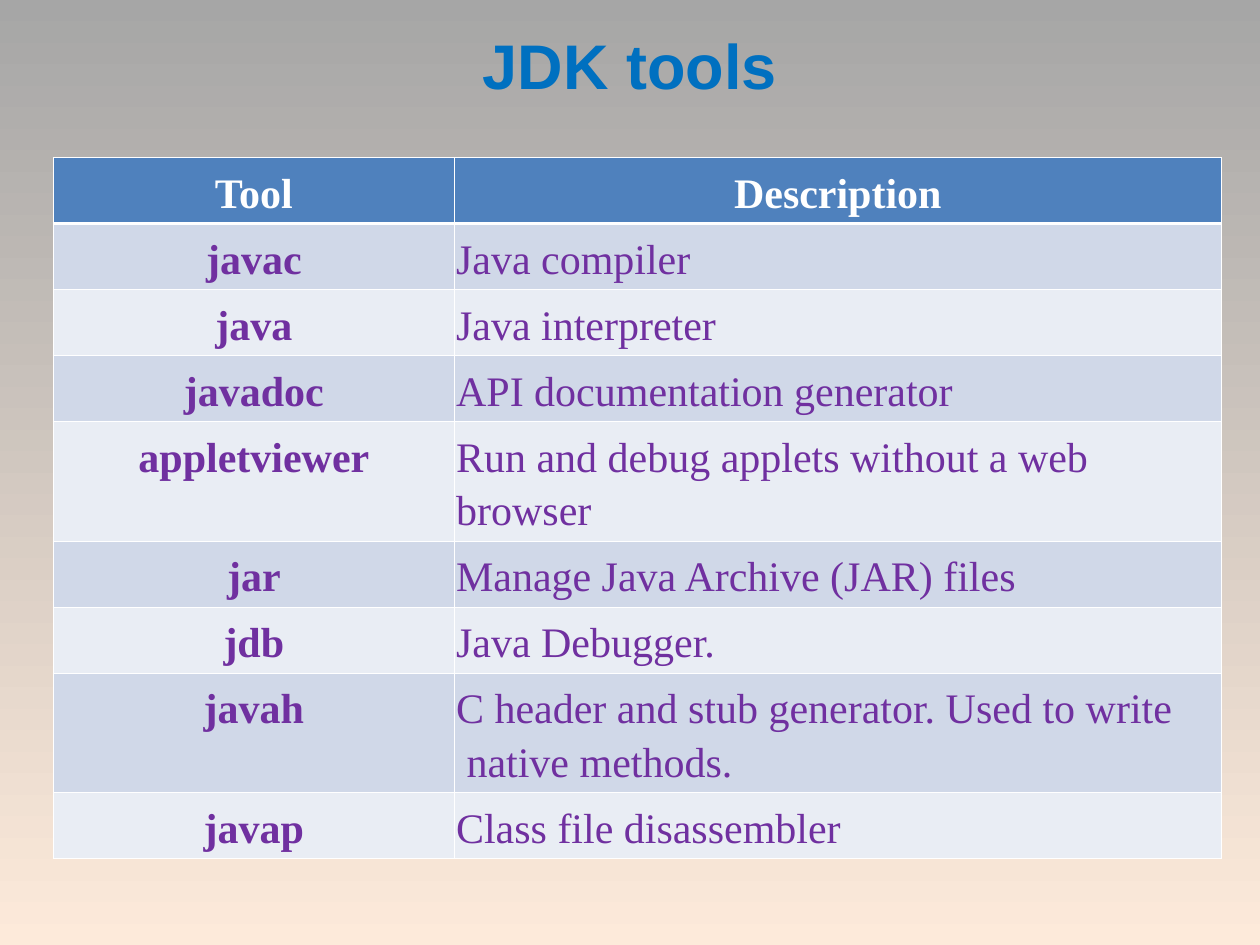
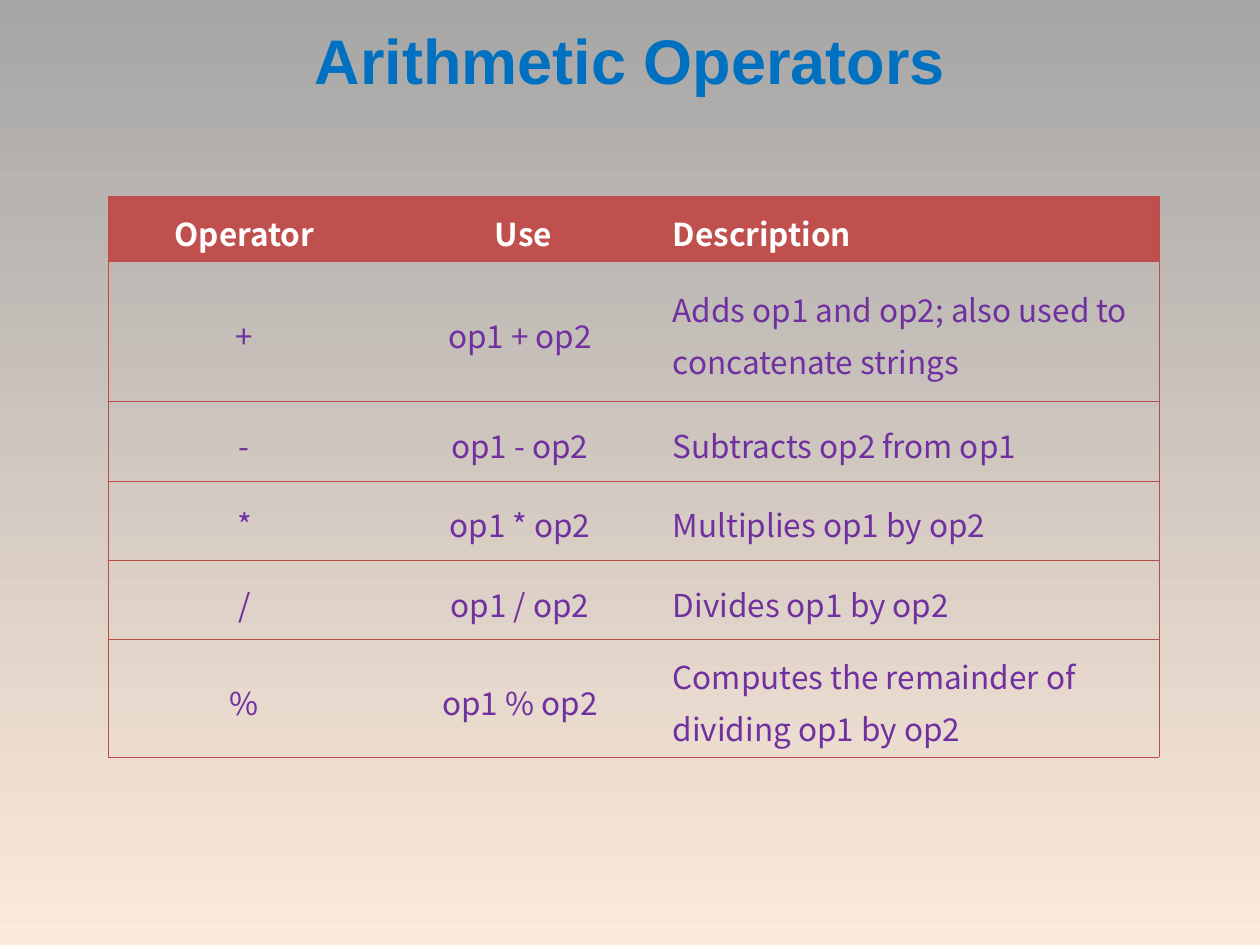
from lxml import etree
from pptx import Presentation
from pptx import util as u
from pptx.dml.color import RGBColor
from pptx.enum import text
from pptx.oxml.ns import qn

BLUE, PURPLE, WHITE = "0070C0", "7030A0", "FFFFFF"
HEADER_BLUE, BAND_DARK, BAND_LIGHT = "4F81BD", "D0D8E8", "E9EDF4"
HEADER_RED, RULE_RED = "C0504D", "BE4B48"
CENTER, LEFT = text.PP_ALIGN.CENTER, text.PP_ALIGN.LEFT
TOP, MIDDLE = text.MSO_ANCHOR.TOP, text.MSO_ANCHOR.MIDDLE

TOOLS = [
    ("Tool", "Description"),
    ("javac", "Java compiler"),
    ("java", "Java interpreter"),
    ("javadoc", "API documentation generator"),
    ("appletviewer", "Run and debug applets without a web\nbrowser"),
    ("jar", "Manage Java Archive (JAR) files"),
    ("jdb", "Java Debugger."),
    ("javah", "C header and stub generator. Used to write\n native methods."),
    ("javap", "Class file disassembler"),
]
OPERATORS = [
    ("Operator", "Use", "Description"),
    ("+", "op1 + op2 ", "Adds op1 and op2; also used to concatenate strings"),
    ("-", "op1 - op2 ", "Subtracts op2 from op1"),
    ("*", "op1 * op2 ", "Multiplies op1 by op2"),
    ("/", "op1 / op2 ", "Divides op1 by op2"),
    ("%", "op1 % op2 ", "Computes the remainder of dividing op1 by op2"),
]


def rgb(color):
    return RGBColor.from_string(color)


def write(tf, content, font, size, color, bold=False, align=LEFT, spacing=None):
    """Fill a text frame, one paragraph for each line of content."""
    for i, line in enumerate(content.split("\n")):
        p = tf.add_paragraph() if i else tf.paragraphs[0]
        p.alignment = align
        p.line_spacing = spacing
        r = p.add_run()
        r.text = line
        r.font.name, r.font.size, r.font.bold = font, u.Pt(size), bold
        r.font.color.rgb = rgb(color)


def set_border(cell, side, color, width):
    """Draw one side (L, R, T or B); a width of 0 hides it."""
    ln = etree.SubElement(cell._tc.get_or_add_tcPr(), qn(f"a:ln{side}"),
                          w=str(u.Pt(width)))
    if width:
        fill = etree.SubElement(ln, qn("a:solidFill"))
        etree.SubElement(fill, qn("a:srgbClr"), val=color)
    else:
        etree.SubElement(ln, qn("a:noFill"))


class Deck:
    def __init__(self):
        self.prs = Presentation()
        self.prs.slide_width, self.prs.slide_height = u.Inches(10), u.Inches(7.5)
        self.s = None
        fill = self.prs.slide_master.background.fill
        fill.gradient()
        fill.gradient_angle = 270
        for stop, color in zip(fill.gradient_stops, ("A6A6A6", "FDEADA")):
            stop.color.rgb = rgb(color)

    def slide(self, title, top, height):
        self.s = self.prs.slides.add_slide(self.prs.slide_layouts[5])
        sp = self.s.shapes.title
        sp.left, sp.top = u.Inches(0.5), u.Inches(top)
        sp.width, sp.height = u.Inches(9), u.Inches(height)
        tf = sp.text_frame
        tf.vertical_anchor = TOP
        tf.margin_top = u.Inches(0.09)
        write(tf, title, "Arial", 36, BLUE, bold=True, align=CENTER)

    def table(self, rows, left, top, widths, heights, margin, anchor,
              header, bands, borders, format_cell):
        """borders(row, column) gives {side: (color, width)}."""
        frame = self.s.shapes.add_table(
            len(rows), len(widths), u.Inches(left), u.Inches(top),
            u.Inches(sum(widths)), u.Inches(sum(heights)))
        tbl = frame.table
        for column, width in zip(tbl.columns, widths):
            column.width = u.Inches(width)
        for i, (row, height) in enumerate(zip(rows, heights)):
            tbl.rows[i].height = u.Inches(height)
            fill = bands[(i - 1) % len(bands)] if i else header
            for j, content in enumerate(row):
                cell = tbl.cell(i, j)
                cell.margin_left = cell.margin_right = u.Inches(margin)
                cell.margin_top = cell.margin_bottom = u.Inches(0.05)
                cell.vertical_anchor = anchor
                for side, (color, width) in borders(i, j).items():
                    set_border(cell, side, color, width)
                if fill:
                    cell.fill.solid()
                    cell.fill.fore_color.rgb = rgb(fill)
                else:
                    cell.fill.background()
                write(cell.text_frame, content, spacing=1.15,
                      color=PURPLE if i else WHITE, **format_cell(i, j))


def tool_borders(i, j):
    thin, thick = (WHITE, 0.45), (WHITE, 1.47)
    return {"L": thin, "R": thin, "T": thick if i == 1 else thin,
            "B": thick if i == 0 else thin}


def tool_format(i, j):
    key = i == 0 or j == 0
    return dict(font="Times New Roman", size=24, bold=key,
                align=CENTER if key else LEFT)


def operator_borders(i, j):
    rule, none = (RULE_RED, 0.34), (RULE_RED, 0)
    return {"L": rule if j == 0 else none, "R": rule if j == 2 else none,
            "T": rule, "B": rule}


def operator_format(i, j):
    return dict(font="Noto Sans CJK KR", size=18, bold=i == 0,
                align=CENTER if j < 2 else LEFT)


def main():
    deck = Deck()

    deck.slide("JDK tools", 0.12, 0.72)
    heights = [0.94 if "\n" in description else 0.48 for _, description in TOOLS]
    deck.table(TOOLS, 0.42, 1.25, [3.19, 6.08], heights, 0.01, TOP,
               HEADER_BLUE, [BAND_DARK, BAND_LIGHT], tool_borders, tool_format)

    deck.slide("Arithmetic Operators", 0.08, 0.95)
    deck.table(OPERATORS, 0.86, 1.56, [2.16, 2.27, 3.91],
               [0.46, 1.11, 0.63, 0.63, 0.63, 0.87], 0.05, MIDDLE,
               HEADER_RED, [None], operator_borders, operator_format)

    deck.prs.save("out.pptx")


if __name__ == "__main__":
    main()
